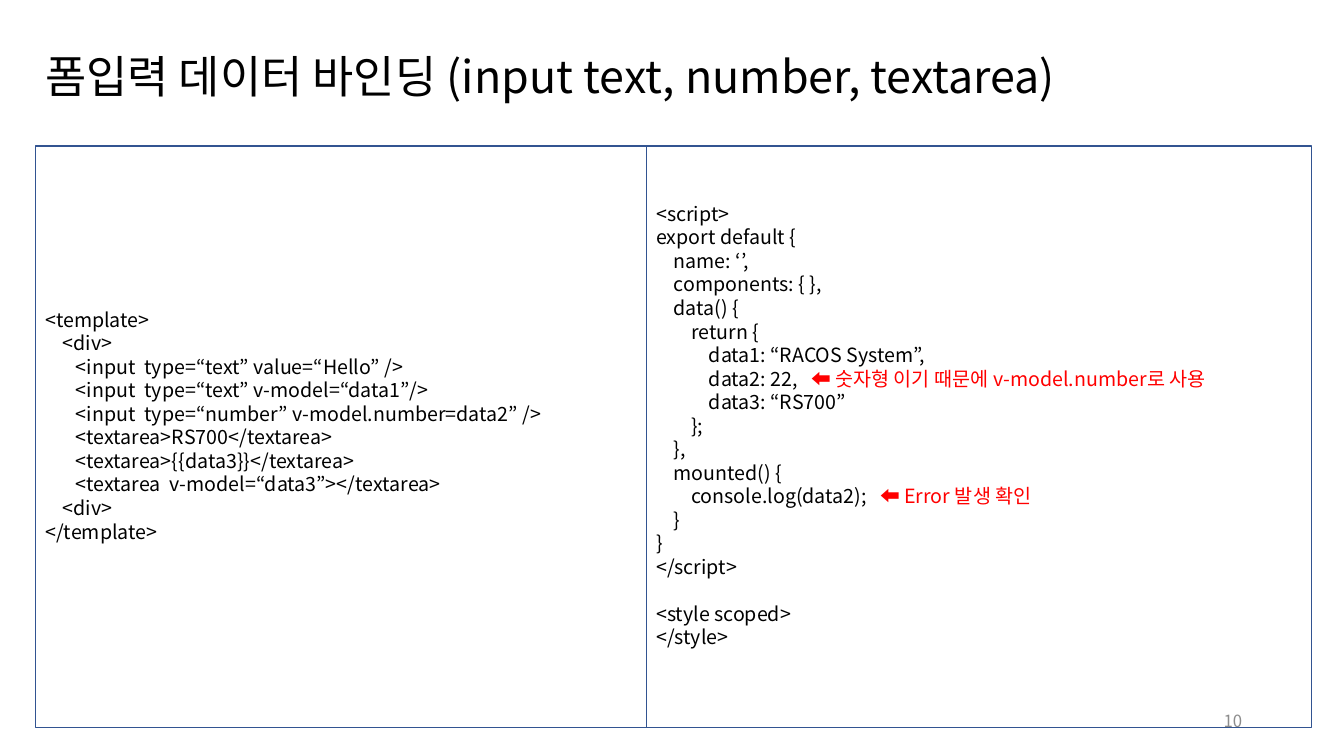
"""Build the slide on binding form input data in Vue."""
from dataclasses import dataclass

from lxml.etree import SubElement
from pptx import Presentation
from pptx.dml.color import RGBColor
from pptx.enum.shapes import MSO_SHAPE as Shape
from pptx.enum.text import MSO_ANCHOR as Anchor, PP_ALIGN as Align
from pptx.oxml.ns import qn
from pptx.util import Inches, Pt


@dataclass(frozen=True)
class Theme:
    font: str = "Noto Sans CJK KR"
    ink: str = "000000"
    note: str = "FF0000"
    muted: str = "8C8C8C"
    border: str = "325491"
    title_size: float = 32
    code_size: float = 14
    code_pitch: float = 16.8
    number_size: float = 12


THEME = Theme()

TEMPLATE_CODE = """<template>
    <div>
       <input  type=“text” value=“Hello” />
       <input  type=“text” v-model=“data1”/>
       <input  type=“number” v-model.number=data2” />
       <textarea>RS700</textarea>
       <textarea>{{data3}}</textarea>
       <textarea  v-model=“data3”></textarea>
    <div>
</template>"""

SCRIPT_CODE = """<script>
export default {
    name: ‘’,
    components: { },
    data() {
        return {
            data1: “RACOS System”,
            data2: 22,   ⬅ 숫자형 이기 때문에 v-model.number로 사용
            data3: “RS700”
        };
    },
    mounted() {
        console.log(data2);   ⬅ Error 발생 확인
    }
}
</script>

<style scoped>
</style>"""


def set_font(para, size, color):
    """Give a paragraph its typeface, size and colour."""
    font = para.font
    font.name = THEME.font
    font.size = Pt(size)
    font.color.rgb = RGBColor.from_string(color)
    SubElement(font._element, qn("a:ea"), typeface=THEME.font)


def add_label(page, place, text, size, color, align=Align.LEFT, spacing=1.0):
    """Add one line of text, centred vertically in its box."""
    box = page.shapes.add_textbox(*map(Inches, place))
    frame = box.text_frame
    frame.word_wrap = True
    frame.vertical_anchor = Anchor.MIDDLE
    para = frame.paragraphs[0]
    para.text = text
    para.alignment = align
    para.line_spacing = spacing
    set_font(para, size, color)


def add_code_line(para, line):
    """Write a line of code, with any arrow note in the note colour."""
    code, arrow, note = line.partition("⬅")
    para.alignment = Align.LEFT
    para.line_spacing = Pt(THEME.code_pitch)
    set_font(para, THEME.code_size, THEME.ink)
    para.add_run().text = code
    if arrow:
        span = para.add_run()
        span.text = arrow + note
        span.font.color.rgb = RGBColor.from_string(THEME.note)


def add_code_panel(page, place, code):
    """Add a bordered panel of code; an empty line becomes spacing."""
    panel = page.shapes.add_shape(Shape.RECTANGLE, *map(Inches, place))
    panel.shadow.inherit = False
    panel.fill.background()
    panel.line.color.rgb = RGBColor.from_string(THEME.border)
    panel.line.width = Pt(1)
    frame = panel.text_frame
    frame.word_wrap = True
    frame.vertical_anchor = Anchor.MIDDLE
    frame.margin_bottom = Inches(0.28)
    for block_index, block in enumerate(code.split("\n\n")):
        for line_index, line in enumerate(block.split("\n")):
            is_first = block_index == line_index == 0
            para = frame.paragraphs[0] if is_first else frame.add_paragraph()
            if block_index and line_index == 0:
                para.space_before = Pt(THEME.code_pitch)
            add_code_line(para, line)


def main():
    """Build and save the deck."""
    deck = Presentation()
    deck.slide_width, deck.slide_height = Inches(13.33), Inches(7.5)
    page = deck.slides.add_slide(deck.slide_layouts[6])
    add_label(page, (0.35, 0.4, 12.66, 0.77),
              "폼입력 데이터 바인딩 (input text, number, textarea)",
              THEME.title_size, THEME.ink, spacing=0.9)
    add_label(page, (9.42, 6.95, 3, 0.4), "10",
              THEME.number_size, THEME.muted, Align.RIGHT)
    add_code_panel(page, (0.35, 1.45, 6.06, 5.77), TEMPLATE_CODE)
    add_code_panel(page, (6.41, 1.45, 6.6, 5.77), SCRIPT_CODE)
    deck.save("out.pptx")


if __name__ == "__main__":
    main()
